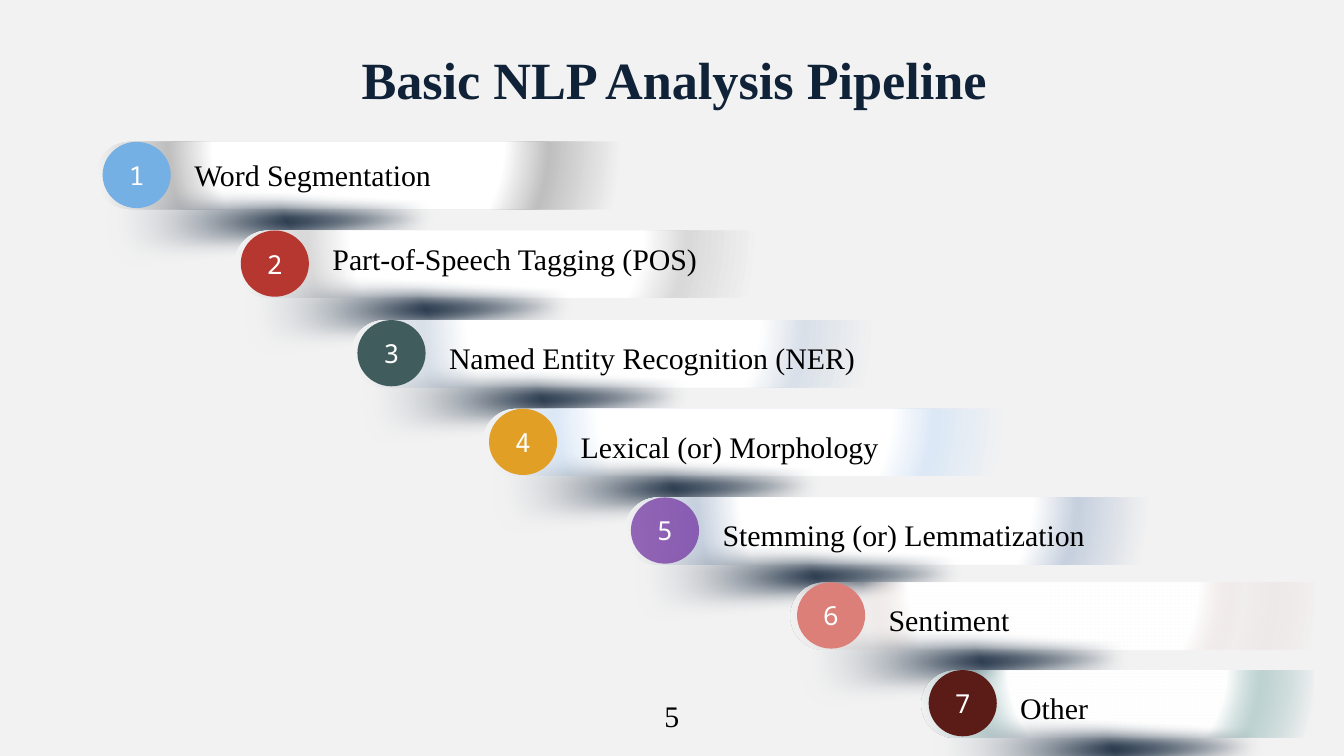
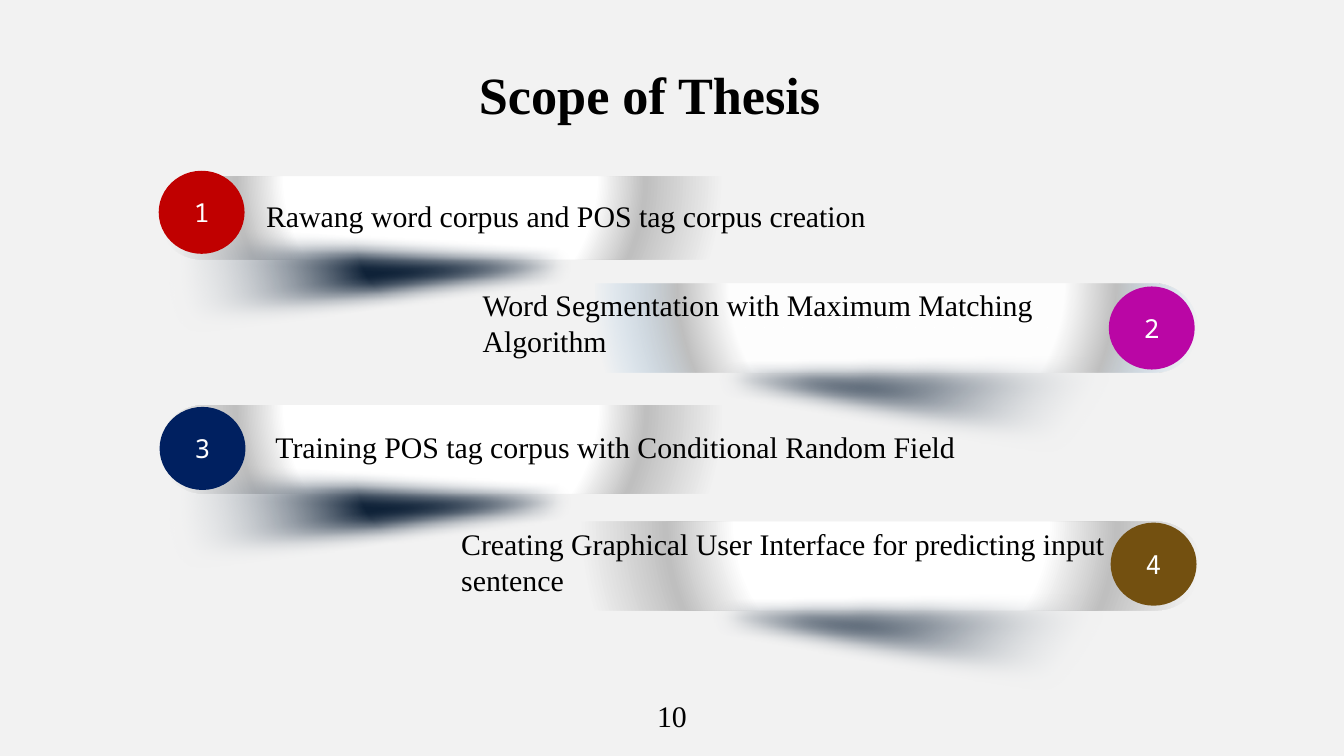
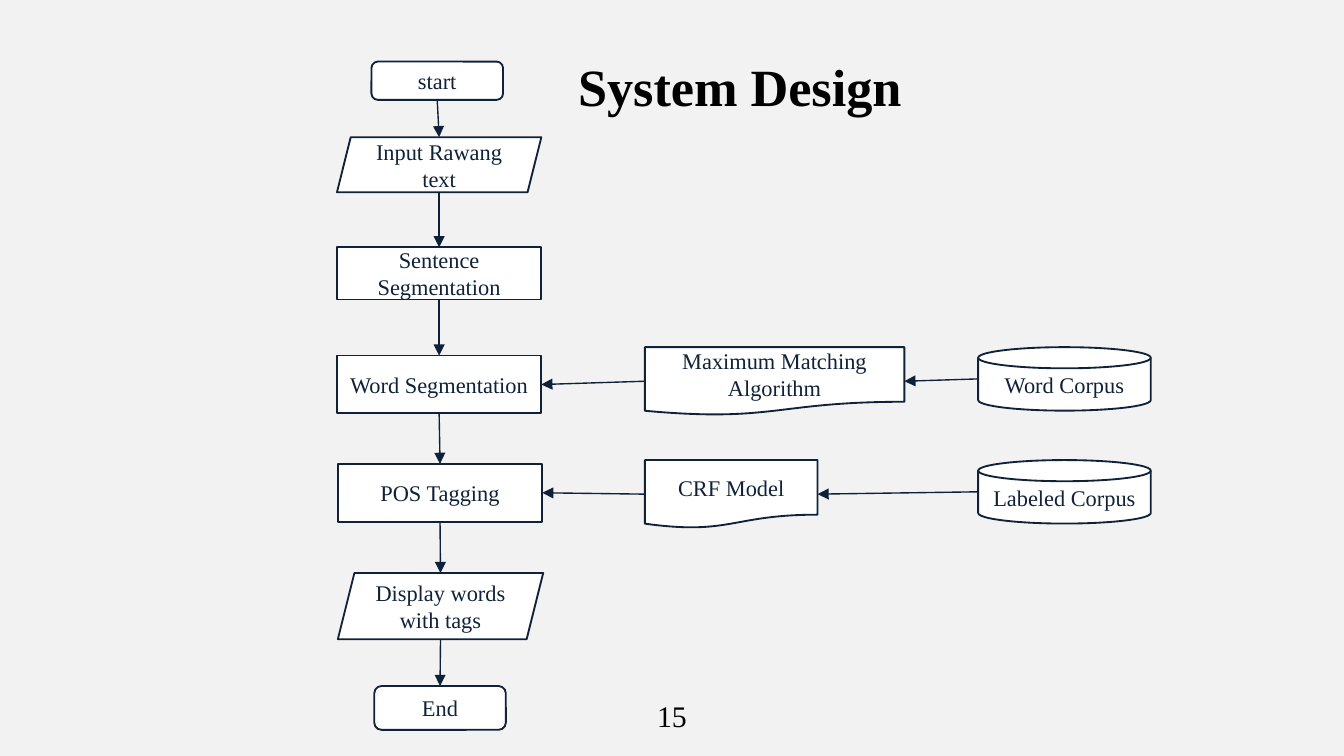
from dataclasses import dataclass
from itertools import pairwise

from lxml.etree import SubElement
from pptx import Presentation
from pptx.dml.color import RGBColor
from pptx.enum.shapes import MSO_CONNECTOR, MSO_SHAPE
from pptx.enum.text import MSO_ANCHOR, MSO_AUTO_SIZE, PP_ALIGN
from pptx.oxml.ns import qn
from pptx.util import Pt


@dataclass(frozen=True)
class Theme:
    paper: str = "F2F2F2"
    white: str = "FFFFFF"
    black: str = "000000"
    ink: str = "0F2238"
    arrow: str = "0E2138"
    silver: str = "BFBFBF"
    serif: str = "Times New Roman"
    mono: str = "Noto Sans Mono"
    title_size: float = 28
    text_size: float = 16
    badge_size: float = 14
    node_size: float = 12
    soft_edge: float = 10


def rgb(value):
    return RGBColor.from_string(value)


def add_alpha(color, percent):
    SubElement(color, qn("a:alpha"), val=str(percent * 1000))


class Deck:
    """Holds the theme and the slide being drawn; lengths are in points."""

    def __init__(self, prs, theme):
        self.prs, self.theme, self.s = prs, theme, None
        fill = prs.slide_master.background.fill
        fill.solid()
        fill.fore_color.rgb = rgb(theme.paper)

    def new_slide(self, title, box, number, color, align=PP_ALIGN.LEFT):
        t = self.theme
        self.s = self.prs.slides.add_slide(self.prs.slide_layouts[5])
        sp = self.s.shapes.title
        sp.left, sp.top, sp.width, sp.height = map(Pt, box)
        tf = sp.text_frame
        tf.word_wrap = True
        tf.auto_size = MSO_AUTO_SIZE.NONE
        tf.vertical_anchor = MSO_ANCHOR.TOP
        tf.margin_left = tf.margin_right = tf.margin_top = tf.margin_bottom = Pt(7.2)
        p = self.styled_run(tf, title, t.title_size, color, align=align, bold=True)
        p.line_spacing = 1.15
        self.text(number, 344.5, 370, 31, 26.5, align=PP_ALIGN.CENTER, wrap=False)

    def styled_run(self, tf, text, size, color, font=None, align=None, bold=False):
        """Add a run to the first paragraph and return that paragraph."""
        p = tf.paragraphs[0]
        p.alignment = align
        r = p.add_run()
        r.text = text
        r.font.name = font or self.theme.serif
        r.font.size = Pt(size)
        r.font.bold = bold
        r.font.color.rgb = rgb(color)
        return p

    def text(self, text, x, y, w, h, spacing=1.0, after=0, align=None, wrap=True):
        sp = self.s.shapes.add_textbox(Pt(x), Pt(y), Pt(w), Pt(h))
        tf = sp.text_frame
        tf.word_wrap = wrap
        tf.auto_size = MSO_AUTO_SIZE.SHAPE_TO_FIT_TEXT
        p = self.styled_run(tf, text, self.theme.text_size, self.theme.black, align=align)
        p.line_spacing = spacing
        p.space_after = Pt(after)

    def shape(self, kind, x, y, w, h, fill=None, line=None):
        sp = self.s.shapes.add_shape(kind, Pt(x), Pt(y), Pt(w), Pt(h))
        sp.shadow.inherit = False
        if fill:
            sp.fill.solid()
            sp.fill.fore_color.rgb = rgb(fill)
        if line:
            sp.line.color.rgb = rgb(line)
            sp.line.width = Pt(1)
        else:
            sp.line.fill.background()
        return sp

    def radial_shape(self, kind, cx, cy, w, h, rotation, stops):
        """Turned shape around a centre; stops are (position, colour, opacity)."""
        sp = self.shape(kind, cx - w / 2, cy - h / 2, w, h)
        sp.rotation = rotation
        geometry = sp._element.spPr.find(qn("a:prstGeom"))
        grad = SubElement(sp._element.spPr, qn("a:gradFill"), rotWithShape="1")
        geometry.addnext(grad)
        gs_list = SubElement(grad, qn("a:gsLst"))
        for position, color, opacity in stops:
            gs = SubElement(gs_list, qn("a:gs"), pos=str(position * 1000))
            clr = SubElement(gs, qn("a:srgbClr"), val=color)
            if opacity < 100:
                add_alpha(clr, opacity)
        focus = SubElement(grad, qn("a:path"), path="circle")
        SubElement(focus, qn("a:fillToRect"),
                   l="50000", t="-80000", r="50000", b="180000")
        return sp

    def bar(self, x, y, w, h, color, opacity=100, rounded_left=True,
            white_to=55, end=None):
        stops = [(white_to, self.theme.white, 100), (72, color, opacity),
                 (100, *(end or (self.theme.paper, 100)))]
        sp = self.radial_shape(MSO_SHAPE.ROUND_2_SAME_RECTANGLE, x + w / 2, y + h / 2,
                               h, w, 270 if rounded_left else 90, stops)
        sp.adjustments[0], sp.adjustments[1] = 0.5, 0

    def bar_shadow(self, cx, cy, w, h, rotation=93.5):
        stops = [(34, self.theme.ink, 100), (100, self.theme.white, 0)]
        sp = self.radial_shape(MSO_SHAPE.RIGHT_TRIANGLE, cx, cy, w, h, rotation, stops)
        effects = sp._element.spPr.find(qn("a:effectLst"))
        SubElement(effects, qn("a:softEdge"), rad=str(Pt(self.theme.soft_edge)))

    def badge(self, number, x, y, w, h, color, opacity=100):
        t = self.theme
        sp = self.shape(MSO_SHAPE.OVAL, x, y, w, h, color)
        if opacity < 100:
            add_alpha(sp._element.spPr.find(".//" + qn("a:srgbClr")), opacity)
        sp.text_frame.vertical_anchor = MSO_ANCHOR.MIDDLE
        self.styled_run(sp.text_frame, str(number), t.badge_size, t.white, t.mono,
                        PP_ALIGN.CENTER)

    def node(self, text, kind, x, y, w, h):
        t = self.theme
        sp = self.shape(kind, x, y, w, h, t.white, t.ink)
        tf = sp.text_frame
        tf.word_wrap = True
        tf.vertical_anchor = MSO_ANCHOR.MIDDLE
        self.styled_run(tf, text, t.node_size, t.ink, align=PP_ALIGN.CENTER)
        return sp

    def arrow(self, x1, y1, x2, y2):
        c = self.s.shapes.add_connector(MSO_CONNECTOR.STRAIGHT, x1, y1, x2, y2)
        c.line.color.rgb = rgb(self.theme.arrow)
        c.line.width = Pt(0.75)
        SubElement(c._element.spPr.find(qn("a:ln")), qn("a:tailEnd"), type="triangle")
        SubElement(c._element.spPr, qn("a:effectLst"))

    def arrow_down(self, a, b):
        self.arrow(a.left + a.width // 2, a.top + a.height, b.left + b.width // 2, b.top)

    def arrow_left(self, a, b):
        self.arrow(a.left, a.top + a.height // 2,
                   b.left + b.width, b.top + b.height // 2)


def pipeline_slide(d):
    t = d.theme
    d.new_slide("Basic NLP Analysis Pipeline", (186.5, 13, 422.5, 42), "5", t.ink)
    # label, badge x, y, badge colour, opacity, bar colour, opacity, bar width,
    # label offset, label width
    steps = [
        ("Word Segmentation", 55, 76, "74B0E3", 100, t.silver, 100, 281, 1.5, 364),
        ("Part-of-Speech Tagging (POS)", 129, 123.5, "B6372F", 100, "D9D9D9", 100, 281,
         -1, 223),
        ("Named Entity Recognition (NER)", 191.5, 171.5, "405C5C", 100, "D9E0E9", 100,
         281, 4, 246),
        ("Lexical (or) Morphology", 262, 219, "E19F25", 100, "DCE8F6", 100, 281, 4, 206),
        ("Stemming (or) Lemmatization", 338, 266.5, "7030A0", 72, "C6D0DE", 100, 281,
         4, 217),
        ("Sentiment", 427, 312, "DC7F79", 100, "E7D7D3", 14, 281, 4, 217),
        ("Other", 497.5, 359, "5B1B17", 100, "A2C1C1", 64, 209.5, 4, 175),
    ]
    for n, (label, x, y, color, opacity, tint, tint_opacity, w, dy, label_w) in enumerate(
            steps, 1):
        d.bar(x - 3.5, y, w, 36, tint, tint_opacity)
        d.bar_shadow(x + 145.5, y + 54.5, 52, 295)
        d.badge(n, x, y, 36.5, 35.5, color, opacity)
        d.text(label, x + 42, y + dy, label_w, 28, 1.15, 8)


def scope_slide(d):
    t = d.theme
    d.new_slide("Scope of Thesis", (231, 21, 234, 42), "10", t.black, PP_ALIGN.CENTER)
    left, right = 93.5, 280.4
    # label, label box, line spacing, badge position and colour, bar box,
    # shadow centre and rotation, further bar settings
    topics = [
        ("Rawang word corpus and POS tag corpus creation", (135.5, 99.5, 374.5, 28), 1.15,
         (85, 91.5), "C00000", (85.5, 94.5, 301, 44.5), (245, 161), left, {}),
        ("Word Segmentation with Maximum Matching Algorithm", (251.5, 150, 360.5, 46), 1,
         (594, 153.5), "BA06A5", (319, 152, 322.5, 47.5), (445.5, 192), right,
         {"end": ("ADD0EE", 0)}),
        ("Training POS tag corpus with Conditional Random Field", (140.5, 226, 460, 26.5),
         1, (85.5, 218), "002060", (85.5, 217, 301.5, 47.5), (245, 287.5), left, {}),
        ("Creating Graphical User Interface for predicting input sentence",
         (240, 278, 363.5, 46), 1, (595, 280), "735010", (311.5, 279.5, 332, 47.5),
         (442.5, 319.5), right, {"white_to": 50}),
    ]
    for n, (label, box, spacing, spot, color, bar, centre, turn, extra) in enumerate(
            topics, 1):
        d.bar(*bar, t.silver, rounded_left=turn == left, **extra)
        d.bar_shadow(*centre, 64, 316, turn)
        d.badge(n, *spot, 46, 44.5, color)
        d.text(label, *box, spacing)


def design_slide(d):
    d.new_slide("System Design", (302.5, 17, 338.5, 50), "15", d.theme.black,
                PP_ALIGN.JUSTIFY)
    step, data = MSO_SHAPE.RECTANGLE, MSO_SHAPE.PARALLELOGRAM
    terminal = MSO_SHAPE.ROUNDED_RECTANGLE
    document, disk = MSO_SHAPE.FLOWCHART_DOCUMENT, MSO_SHAPE.FLOWCHART_MAGNETIC_DISK
    flow = [d.node(*row) for row in (
        ("start", terminal, 199, 33, 70.5, 20.5),
        ("Input Rawang text", data, 180.5, 73.5, 109.5, 29.5),
        ("Sentence Segmentation", step, 180.5, 132.5, 109.5, 28),
        ("Word Segmentation", step, 180.5, 190.5, 109.5, 31),
        ("POS Tagging", step, 181, 248.5, 109.5, 31),
        ("Display words with tags", data, 181, 307, 110, 35.5),
        ("End", terminal, 200.5, 367.5, 70.5, 23.5),
    )]
    for a, b in pairwise(flow):
        d.arrow_down(a, b)
    for target, y, method, w, corpus in (
            (flow[3], 186, "Maximum Matching Algorithm", 139, "Word Corpus"),
            (flow[4], 246.5, "CRF Model", 92.5, "Labeled Corpus")):
        model = d.node(method, document, 345.5, y, w, 36.5)
        source = d.node(corpus, disk, 524, y, 92.5, 34)
        d.arrow_left(source, model)
        d.arrow_left(model, target)


def main():
    prs = Presentation()
    prs.slide_width, prs.slide_height = Pt(720), Pt(405)
    d = Deck(prs, Theme())
    pipeline_slide(d)
    scope_slide(d)
    design_slide(d)
    prs.save("out.pptx")


if __name__ == "__main__":
    main()
